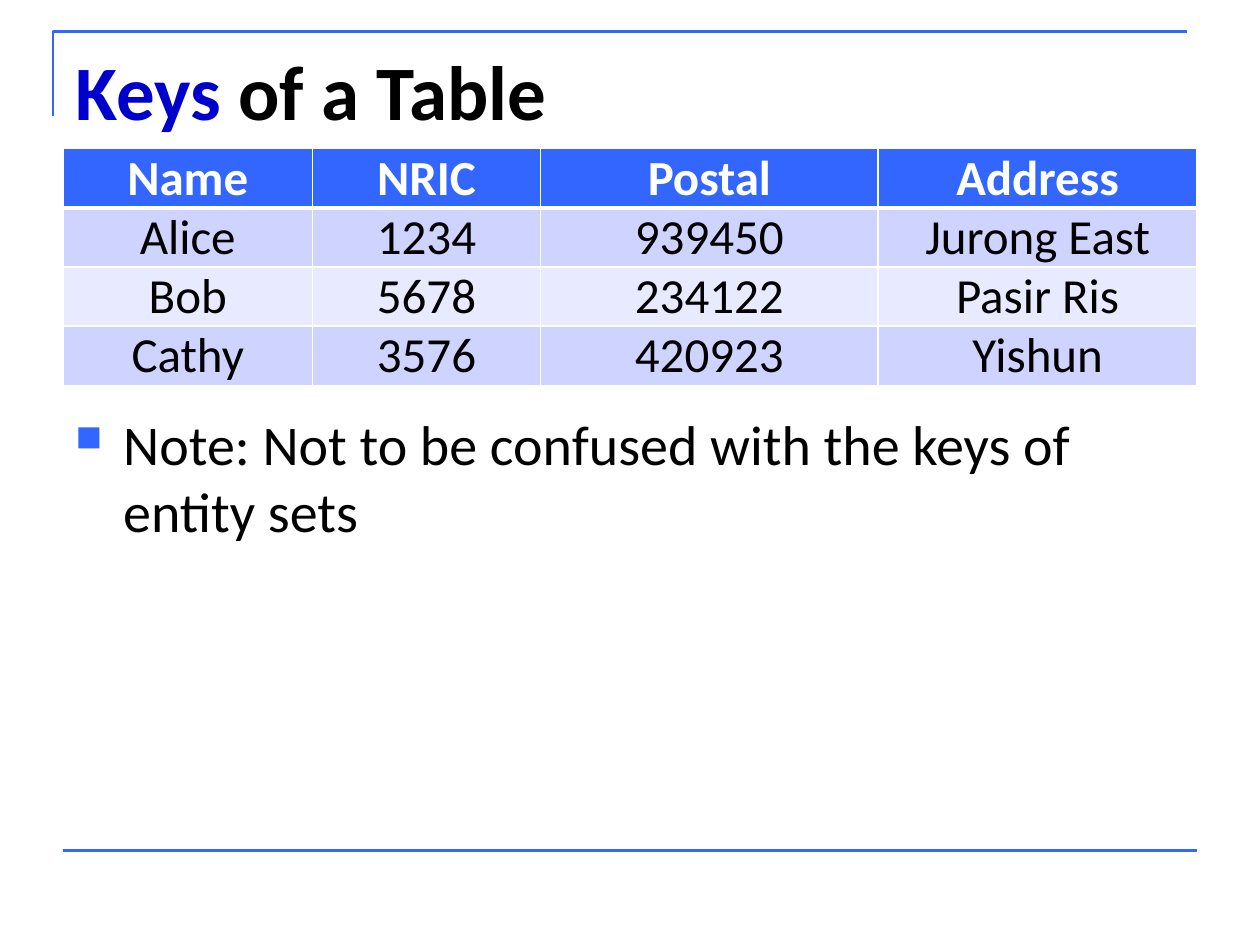
from lxml import etree
from pptx import Presentation
from pptx.dml.color import RGBColor
from pptx.enum import shapes, text
from pptx.oxml import ns
from pptx.util import Inches, Pt

BLUE = RGBColor(0x33, 0x66, 0xFF)
KEY_BLUE = RGBColor(0x00, 0x00, 0xCC)
BLACK = RGBColor(0x00, 0x00, 0x00)
WHITE = RGBColor(0xFF, 0xFF, 0xFF)
BANDS = (RGBColor(0xCE, 0xD3, 0xFF), RGBColor(0xE8, 0xEA, 0xFF))
FONT = "Calibri"

RESIDENTS = (
    ("Name", "NRIC", "Postal", "Address"),
    ("Alice", "1234", "939450", "Jurong East"),
    ("Bob", "5678", "234122", "Pasir Ris"),
    ("Cathy", "3576", "420923", "Yishun"),
)
COLUMN_WIDTHS = (1.98, 1.81, 2.68, 2.53)
ROW_HEIGHT = 0.47


def add_element(parent, tag, **attributes):
    """Append a DrawingML element and return it."""
    return etree.SubElement(parent, ns.qn(tag), attributes)


def style_font(font, size, color, bold=False):
    """Set the typeface, size, colour and weight."""
    font.name, font.size, font.bold = FONT, Pt(size), bold
    font.color.rgb = color


def style_line(line):
    """Apply the thin blue rule."""
    line.color.rgb = BLUE
    line.width = Pt(1.5)


def add_corner_rule(slide):
    """Draw the open corner around the title."""
    builder = slide.shapes.build_freeform(Inches(0.42), Inches(0.92))
    builder.add_line_segments(
        [(Inches(0.42), Inches(0.25)), (Inches(9.42), Inches(0.25))], close=False)
    corner = builder.convert_to_shape()
    corner.fill.background()
    corner.shadow.inherit = False
    style_line(corner.line)


def add_footer_rule(slide):
    """Draw the rule across the foot of the slide."""
    rule = slide.shapes.add_connector(
        shapes.MSO_CONNECTOR.STRAIGHT,
        Inches(0.5), Inches(6.75), Inches(9.5), Inches(6.75))
    style_line(rule.line)
    add_element(rule._element.spPr, "a:effectLst")


def add_text_area(slide, top, height):
    """Add a wrapping text box and return its first paragraph."""
    area = slide.shapes.add_textbox(Inches(0.5), Inches(top), Inches(9), Inches(height))
    area.text_frame.word_wrap = True
    area.text_frame.vertical_anchor = text.MSO_ANCHOR.TOP
    return area.text_frame.paragraphs[0]


def add_title(slide):
    """Add the two-colour title."""
    title = add_text_area(slide, 0.3, 1.25)
    for words, color in (("Keys", KEY_BLUE), (" of a Table", BLACK)):
        run = title.add_run()
        run.text = words
        style_font(run.font, 44, color, bold=True)


def add_note(slide):
    """Add the note with its square bullet."""
    note = add_text_area(slide, 3.2, 3.51)
    note.text = "Note: Not to be confused with the keys of entity sets"
    properties = note._p.get_or_add_pPr()
    properties.set("marL", str(Inches(0.38)))
    properties.set("indent", str(-Inches(0.38)))
    bullet_color = add_element(properties, "a:buClr")
    add_element(bullet_color, "a:srgbClr", val=str(BLUE))
    add_element(properties, "a:buSzPct", val="65000")
    add_element(properties, "a:buChar", char="■")
    style_font(note.runs[0].font, 32, BLACK)


def add_borders(cell, top, bottom):
    """Give a filled cell white borders, with top and bottom widths in points."""
    properties = cell._tc.get_or_add_tcPr()
    sides = (("a:lnL", 1), ("a:lnR", 1), ("a:lnT", top), ("a:lnB", bottom))
    for position, (tag, width) in enumerate(sides):
        border = add_element(properties, tag, w=str(Pt(width)))
        add_element(add_element(border, "a:solidFill"), "a:srgbClr", val=str(WHITE))
        properties.insert(position, border)


def fill_cell(cell, value, row):
    """Write and format one cell of the residents table."""
    header = row == 0
    cell.text = value
    cell.margin_left = cell.margin_right = Inches(0.1)
    cell.margin_top = cell.margin_bottom = 0
    paragraph = cell.text_frame.paragraphs[0]
    paragraph.alignment = text.PP_ALIGN.CENTER
    style_font(paragraph.runs[0].font, 28, WHITE if header else BLACK, bold=header)
    cell.fill.solid()
    cell.fill.fore_color.rgb = BLUE if header else BANDS[(row - 1) % 2]
    add_borders(cell, top=3 if row == 1 else 1, bottom=3 if header else 1)


def add_residents_table(slide):
    """Add the table of residents."""
    table = slide.shapes.add_table(
        len(RESIDENTS), len(COLUMN_WIDTHS), Inches(0.5), Inches(1.18),
        Inches(sum(COLUMN_WIDTHS)), Inches(ROW_HEIGHT * len(RESIDENTS))).table
    for column, width in zip(table.columns, COLUMN_WIDTHS):
        column.width = Inches(width)
    for row, values in enumerate(RESIDENTS):
        table.rows[row].height = Inches(ROW_HEIGHT)
        for column, value in enumerate(values):
            fill_cell(table.cell(row, column), value, row)


def main():
    """Build and save the slide."""
    deck = Presentation()
    deck.slide_width, deck.slide_height = Inches(10), Inches(7.5)
    slide = deck.slides.add_slide(deck.slide_layouts[6])
    add_corner_rule(slide)
    add_footer_rule(slide)
    add_title(slide)
    add_note(slide)
    add_residents_table(slide)
    deck.save("out.pptx")


if __name__ == "__main__":
    main()
